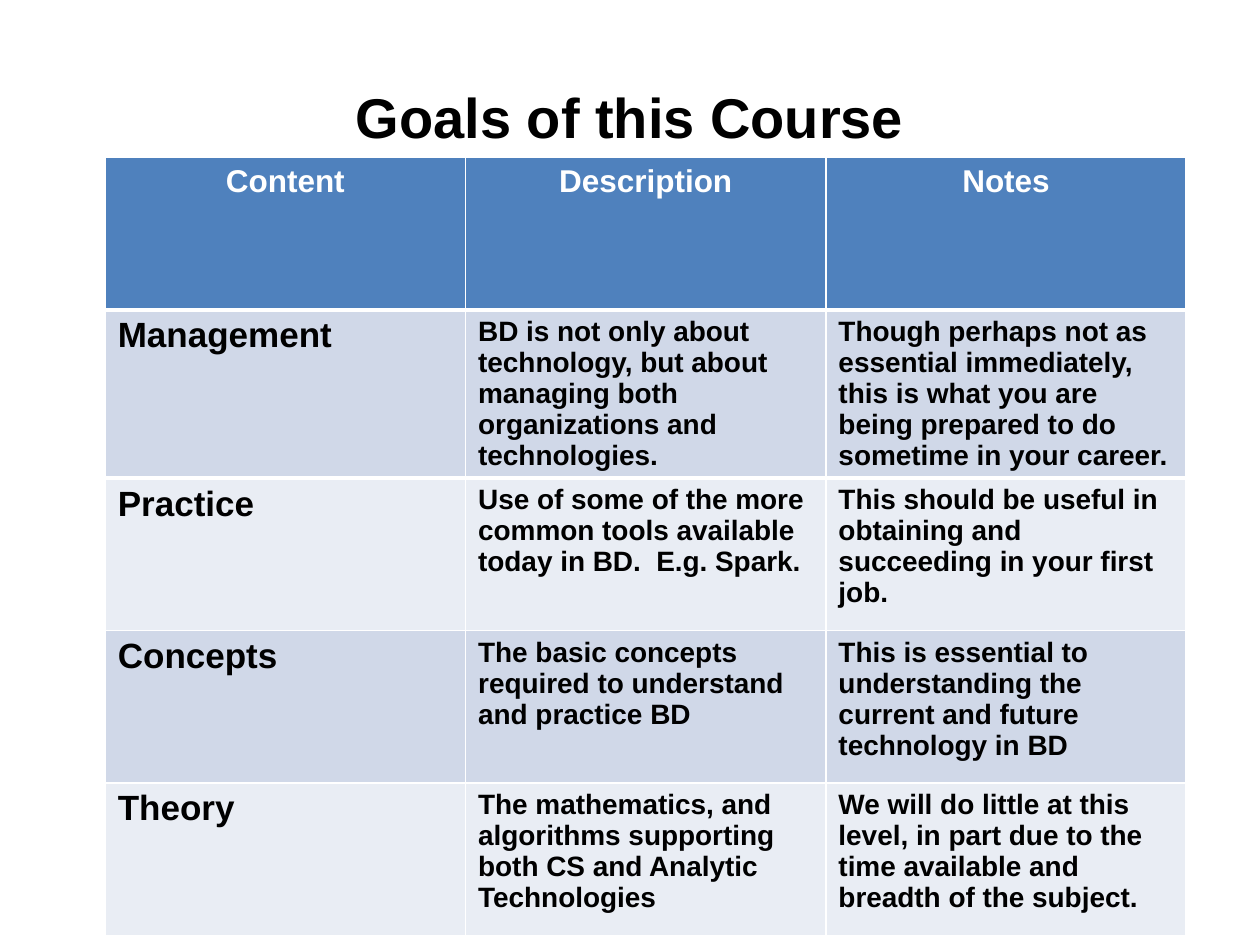
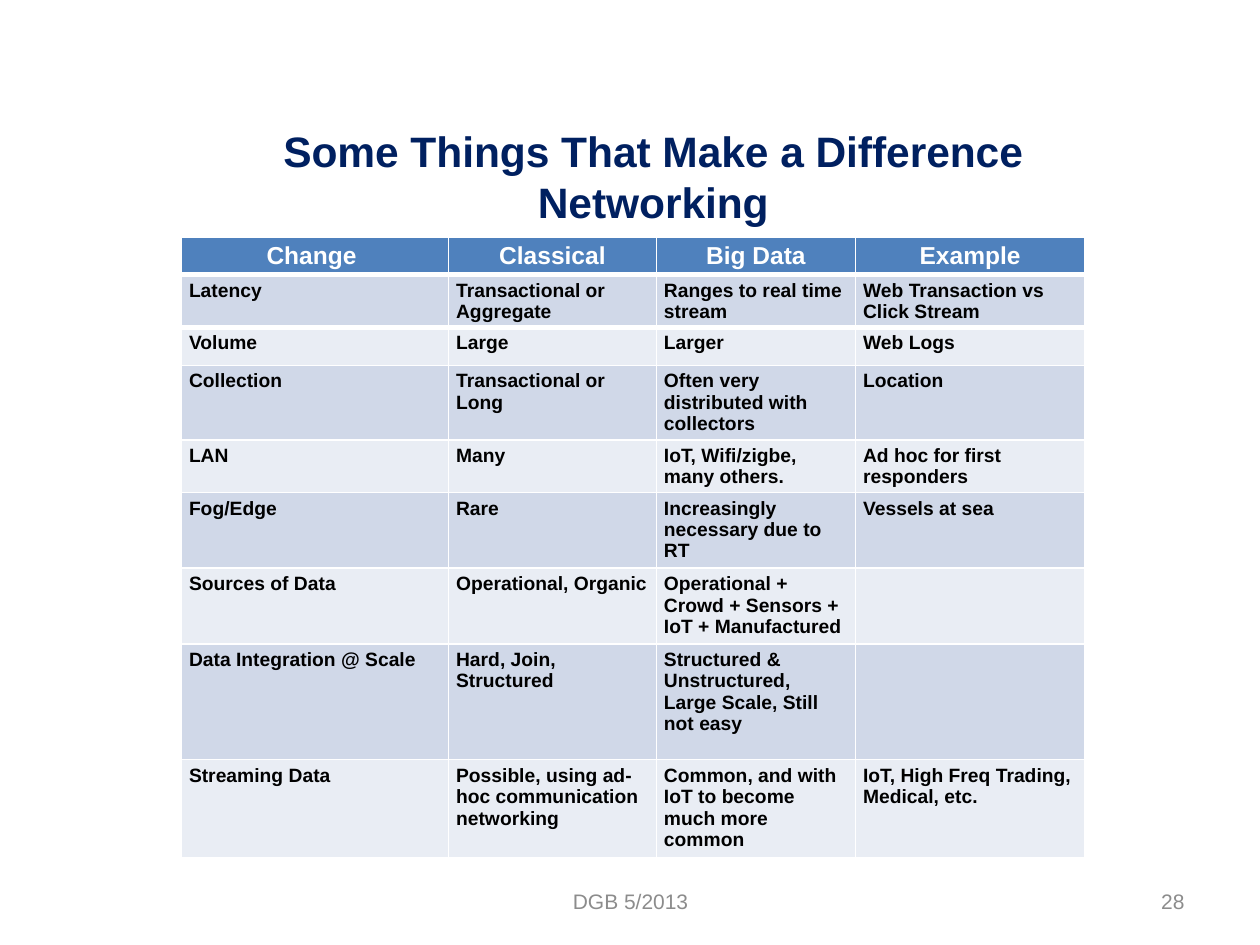
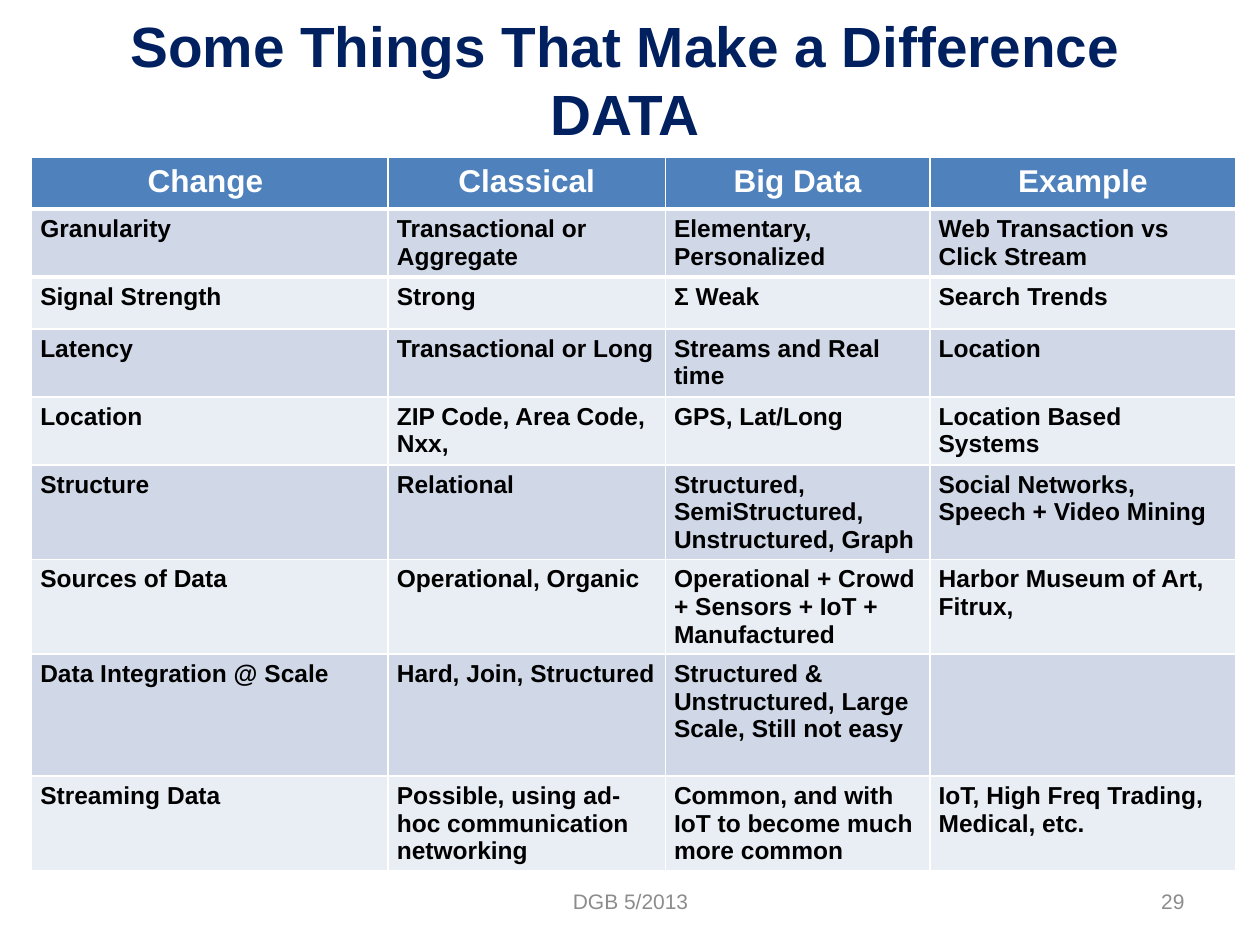
import lxml.etree
import pptx
import pptx.dml.color
import pptx.enum.text
import pptx.oxml.ns
import pptx.util

FONT = "Arial"
BLACK, WHITE, NAVY, GREY = "000000", "FFFFFF", "002060", "8C8C8C"
HEADER_FILL = "4F81BD"
BAND_FILLS = ("D0D8E8", "E9EDF4")
ALIGN = pptx.enum.text.PP_ALIGN
MIDDLE = pptx.enum.text.MSO_ANCHOR.MIDDLE
COLUMN = ROW = pptx.util.Inches(0.5)
SLIDE_COLUMNS, SLIDE_ROWS = 20, 15

FOOTER_BOX = (6.84, 13.9, 6.34, 0.8)
NUMBER_BOX = (14.34, 13.9, 4.66, 0.8)
COMPARISON_HEADER = ["Change ", "Classical", "Big Data", "Example"]
SHARED_ROWS = [
    ["Data Integration @ Scale", "Hard, Join, Structured",
     "Structured & Unstructured, Large Scale, Still not easy", ""],
    ["Streaming Data", "Possible, using ad-hoc communication networking",
     "Common, and with IoT to become much more common",
     "IoT, High Freq Trading, Medical, etc."],
]
SOURCES = ["Sources of Data", "Operational, Organic",
           "Operational + Crowd + Sensors + IoT + Manufactured"]

GOALS = [
    ["Content", "Description", "Notes"],
    ["Management",
     "BD is not only about technology, but about managing both organizations and technologies.",
     "Though perhaps not as essential immediately, this is what you are being prepared "
     "to do sometime in your career."],
    ["Practice",
     "Use of some of the more common tools available today in BD.  E.g. Spark.",
     "This should be useful in obtaining and succeeding in your first job."],
    ["Concepts",
     "The basic concepts required to understand and practice BD",
     "This is essential to understanding the current and future technology in BD"],
    ["Theory",
     "The mathematics, and algorithms supporting both CS and Analytic Technologies",
     "We will do little at this level, in part due to the time available and "
     "breadth of the subject."],
]
NETWORKING = [
    COMPARISON_HEADER,
    ["Latency", "Transactional or Aggregate", "Ranges to real time stream",
     "Web Transaction vs Click Stream"],
    ["Volume", "Large", "Larger", "Web Logs"],
    ["Collection", "Transactional or Long", "Often very distributed with collectors",
     "Location"],
    ["LAN", "Many", "IoT, Wifi/zigbe, many others.", "Ad hoc for first responders"],
    ["Fog/Edge", "Rare", "Increasingly necessary due to RT", "Vessels at sea"],
    SOURCES + [""],
    *SHARED_ROWS,
]
DATA = [
    COMPARISON_HEADER,
    ["Granularity", "Transactional or Aggregate", "Elementary, Personalized",
     "Web Transaction vs Click Stream"],
    ["Signal Strength", "Strong", "Σ Weak", "Search Trends"],
    ["Latency", "Transactional or Long", "Streams and Real time", "Location"],
    ["Location", "ZIP Code, Area Code, Nxx,", "GPS, Lat/Long", "Location Based Systems"],
    ["Structure", "Relational", "Structured, SemiStructured, Unstructured, Graph",
     "Social Networks, Speech + Video Mining"],
    SOURCES + ["Harbor Museum of Art, Fitrux,"],
    *SHARED_ROWS,
]


def rgb(value):
    """Turn a hex string into a colour."""
    return pptx.dml.color.RGBColor.from_string(value)


def grid_box(box):
    """Turn grid columns and rows into left, top, width and height."""
    left, top, width, height = box
    return [round(size) for size in (left * COLUMN, top * ROW, width * COLUMN, height * ROW)]


def write(frame, text, size, color, bold=False, align=ALIGN.LEFT):
    """Fill a text frame and format all of its runs."""
    frame.text = text
    for para in frame.paragraphs:
        para.alignment = align
        for span in para.runs:
            span.font.name = FONT
            span.font.size = pptx.util.Pt(size)
            span.font.bold = bold
            span.font.color.rgb = rgb(color)


def add_titled_page(deck, text, box, size, color):
    """Add a title-only page and set its title."""
    page = deck.slides.add_slide(deck.slide_layouts[5])
    title = page.shapes.title
    title.left, title.top, title.width, title.height = grid_box(box)
    frame = title.text_frame
    frame.auto_size = pptx.enum.text.MSO_AUTO_SIZE.NONE
    frame.vertical_anchor = MIDDLE
    write(frame, text, size, color, True, ALIGN.CENTER)
    return page


def add_footer(page, number):
    """Add the footer label and the page number."""
    for box, text, align in ((FOOTER_BOX, "DGB 5/2013", ALIGN.CENTER),
                             (NUMBER_BOX, str(number), ALIGN.RIGHT)):
        frame = page.shapes.add_textbox(*grid_box(box)).text_frame
        frame.word_wrap = True
        frame.vertical_anchor = MIDDLE
        write(frame, text, 12, GREY, align=align)


def add_border(cell, side, width, color):
    """Draw one side of a cell as a solid line."""
    qn = pptx.oxml.ns.qn
    line = lxml.etree.Element(qn(f"a:{side}"), w=str(pptx.util.Pt(width)))
    fill = lxml.etree.SubElement(line, qn("a:solidFill"))
    lxml.etree.SubElement(fill, qn("a:srgbClr"), val=color)
    cell._tc.get_or_add_tcPr().insert(0, line)


def add_banded_table(page, content, corner, widths, heights, sizes, insets):
    """Add a table with a header row and alternating bands."""
    header_size, label_size, body_size = sizes
    side, top, bottom = [pptx.util.Inches(inset) for inset in insets]
    box = grid_box((*corner, sum(widths), sum(heights)))
    table = page.shapes.add_table(len(content), len(widths), *box).table
    for column, width in zip(table.columns, widths):
        column.width = round(width * COLUMN)
    for index, (row, height, texts) in enumerate(zip(table.rows, heights, content)):
        row.height = round(height * ROW)
        for place, (cell, text) in enumerate(zip(row.cells, texts)):
            cell.margin_left = cell.margin_right = side
            cell.margin_top, cell.margin_bottom = top, bottom
            cell.fill.solid()
            if index == 0:
                cell.fill.fore_color.rgb = rgb(HEADER_FILL)
                write(cell.text_frame, text, header_size, WHITE, True, ALIGN.CENTER)
            else:
                cell.fill.fore_color.rgb = rgb(BAND_FILLS[(index - 1) % 2])
                size = label_size if place == 0 else body_size
                write(cell.text_frame, text, size, BLACK, True)
            if index < 2:
                add_border(cell, ("lnB", "lnT")[index], 3, WHITE)


def add_goals(deck):
    """Add the page of course goals."""
    page = add_titled_page(deck, "Goals of this Course", (1, 0.6, 18, 2.5), 32, BLACK)
    add_banded_table(page, GOALS, (1.67, 2.5), [5.72] * 3, [2.42] * 5,
                     (18, 20, 16), (0.1, 0.05, 0.05))


def add_comparison(deck, topic, title_box, title_size, number, **table):
    """Add a page comparing classical practice with big data."""
    text = f"Some Things That Make a Difference\v{topic}"
    page = add_titled_page(deck, text, title_box, title_size, NAVY)
    add_footer(page, number)
    add_banded_table(page, **table)


def main():
    """Build and save the deck."""
    deck = pptx.Presentation()
    deck.slide_width, deck.slide_height = SLIDE_COLUMNS * COLUMN, SLIDE_ROWS * ROW
    add_goals(deck)
    add_comparison(deck, "Networking", (2.28, 1.86, 16.18, 1.88), 24.3, 28,
                   content=NETWORKING, corner=(2.88, 3.76),
                   widths=[4.24, 3.3, 3.16, 3.64],
                   heights=[0.6, 0.84, 0.6, 1.18, 0.84, 1.2, 1.2, 1.84, 1.5],
                   sizes=(14, 11, 11), insets=(0.06, 0.04, 0))
    add_comparison(deck, "DATA", (1, 0, 17.84, 2.5), 32.4, 29,
                   content=DATA, corner=(0.5, 2.5),
                   widths=[5.66, 4.4, 4.2, 4.86],
                   heights=[0.82, 1.08, 0.82, 1.08, 1.08, 1.5, 1.5, 1.94, 1.5],
                   sizes=(18, 14, 14), insets=(0.07, 0.05, 0))
    deck.save("out.pptx")


if __name__ == "__main__":
    main()
